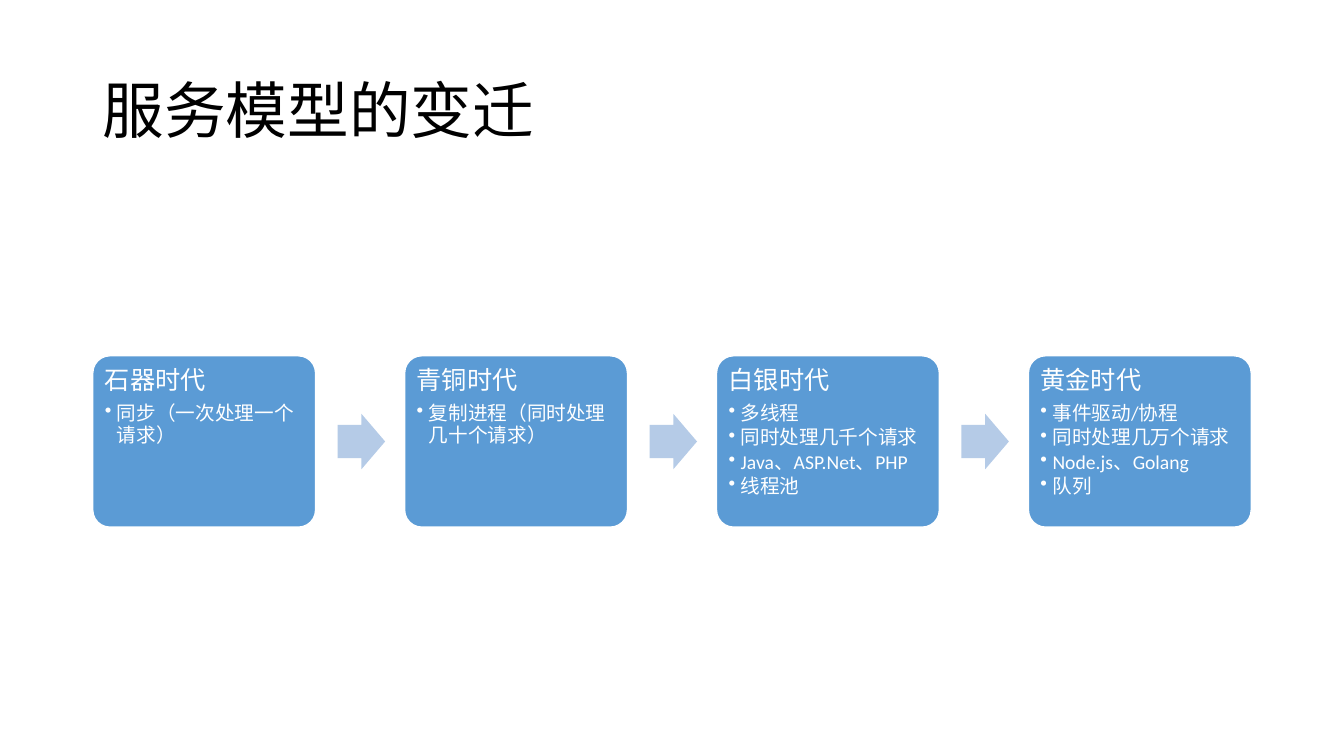
from pptx import Presentation
from pptx.dml.color import RGBColor
from pptx.enum.shapes import MSO_SHAPE as SHAPE
from pptx.enum.text import MSO_ANCHOR as ANCHOR, PP_ALIGN as ALIGN
from pptx.util import Inches, Pt
from lxml.etree import SubElement
from pptx.oxml.ns import qn

BLACK = RGBColor(0x00, 0x00, 0x00)
WHITE = RGBColor(0xFF, 0xFF, 0xFF)
CARD_BLUE = RGBColor(0x5B, 0x9B, 0xD5)
ARROW_BLUE = RGBColor(0xB5, 0xCB, 0xE7)
FONT = "Calibri"

ERAS = [
    ("石器时代", ["同步（一次处理一个请求）"]),
    ("青铜时代", ["复制进程（同时处理几十个请求）"]),
    ("白银时代", ["多线程", "同时处理几千个请求", "Java、ASP.Net、PHP", "线程池"]),
    ("黄金时代", ["事件驱动/协程", "同时处理几万个请求", "Node.js、Golang", "队列"]),
]
LEFT, RIGHT, TOP = 0.92, 12.41, 3.53
CARD_W, CARD_H = 2.21, 1.7
ARROW_W, ARROW_H, ARROW_GAP = 0.47, 0.55, 0.22
PITCH = (RIGHT - LEFT - CARD_W) / (len(ERAS) - 1)


def write(paragraph, text, size, color, after=0):
    paragraph.alignment = ALIGN.LEFT
    paragraph.line_spacing = 0.9
    paragraph.space_after = Pt(after)
    run = paragraph.add_run()
    run.text = text
    run.font.name = FONT
    run.font.size = Pt(size)
    run.font.color.rgb = color


def add_block(kind, left, top, width, height, color):
    block = slide.shapes.add_shape(
        kind, Inches(left), Inches(top), Inches(width), Inches(height))
    block.shadow.inherit = False
    block.fill.solid()
    block.fill.fore_color.rgb = color
    block.line.fill.background()
    return block


prs = Presentation()
prs.slide_width, prs.slide_height = Inches(13.33), Inches(7.5)
slide = prs.slides.add_slide(prs.slide_layouts[6])

# Title
title = slide.shapes.add_textbox(
    Inches(LEFT), Inches(0.4), Inches(11.5), Inches(1.45)).text_frame
title.word_wrap = True
title.vertical_anchor = ANCHOR.MIDDLE
write(title.paragraphs[0], "服务模型的变迁", 44, BLACK)

for index, (era, traits) in enumerate(ERAS):
    left = LEFT + index * PITCH

    # Era card
    card = add_block(SHAPE.ROUNDED_RECTANGLE, left, TOP, CARD_W, CARD_H, CARD_BLUE)
    card.adjustments[0] = 0.1
    card.line.color.rgb = WHITE
    card.line.width = Pt(1)
    body = card.text_frame
    body.word_wrap = True
    body.vertical_anchor = ANCHOR.TOP
    body.margin_left = body.margin_right = Inches(0.07)
    body.margin_top = body.margin_bottom = Inches(0.07)
    write(body.paragraphs[0], era, 18, WHITE, after=6.3)

    # Bulleted traits
    for trait in traits:
        item = body.add_paragraph()
        item.level = 1
        write(item, trait, 14, WHITE, after=2.1)
        props = item._p.get_or_add_pPr()
        props.set("marL", str(Inches(0.12)))
        props.set("indent", str(-Inches(0.12)))
        SubElement(props, qn("a:buChar"), char="•")

    # Arrow to the next era
    if index < len(ERAS) - 1:
        arrow = add_block(
            SHAPE.RIGHT_ARROW, left + CARD_W + ARROW_GAP,
            TOP + (CARD_H - ARROW_H) / 2, ARROW_W, ARROW_H, ARROW_BLUE)
        arrow.adjustments[0] = 0.6
        arrow.adjustments[1] = 0.5

prs.save("out.pptx")
